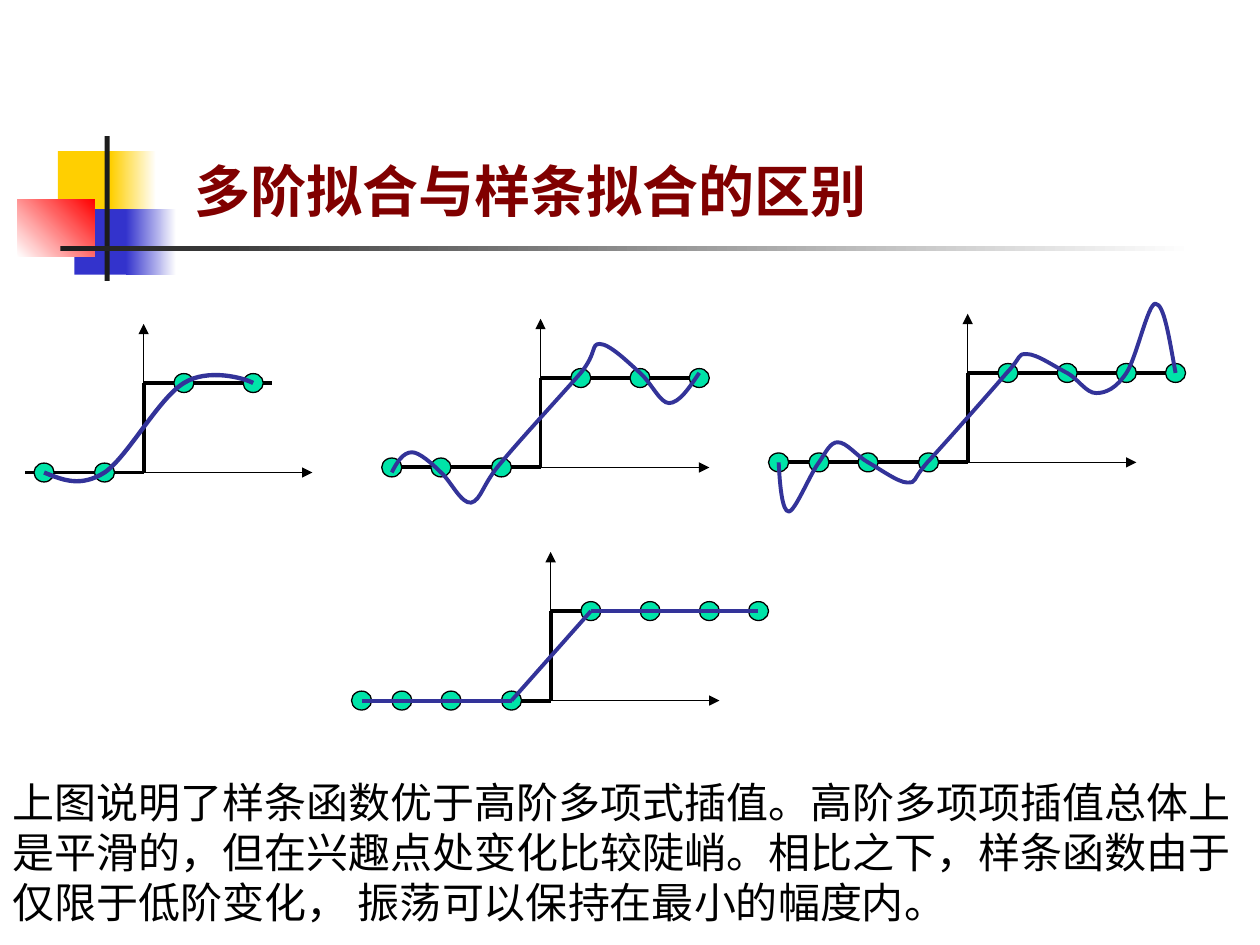
from lxml import etree
from pptx import Presentation
from pptx.dml.color import RGBColor
from pptx.enum.shapes import MSO_CONNECTOR, MSO_SHAPE
from pptx.enum.text import MSO_ANCHOR, MSO_AUTO_SIZE, PP_ALIGN
from pptx.oxml.ns import qn
from pptx.util import Inches, Pt

STRAIGHT = MSO_CONNECTOR.STRAIGHT
RECTANGLE = MSO_SHAPE.RECTANGLE
OVAL = MSO_SHAPE.OVAL
TOP = MSO_ANCHOR.TOP
LEFT = PP_ALIGN.LEFT
NO_AUTOFIT = MSO_AUTO_SIZE.NONE

WHITE = RGBColor(0xFF, 0xFF, 0xFF)
BLACK = RGBColor(0, 0, 0)
YELLOW = RGBColor(0xFF, 0xCF, 0x01)
BLUE = RGBColor(0x33, 0x33, 0xCC)
RED = RGBColor(0xFF, 0, 0)
CHARCOAL = RGBColor(0x1C, 0x1C, 0x1C)
MAROON = RGBColor(0x80, 0, 0)
GREEN = RGBColor(0, 0xE4, 0xA8)
INDIGO = RGBColor(0x33, 0x33, 0x99)

FONT = "Karla"
STEP_HEIGHT = 0.71
NODE_WIDTH, NODE_HEIGHT = 0.16, 0.15
NODE_OFFSETS = (-1.5, -1.18, -0.79, -0.31, 0.32, 0.79, 1.26, 1.65)

TITLE = "多阶拟合与样条拟合的区别"
EXPLANATION = (
    "上图说明了样条函数优于高阶多项式插值。高阶多项项插值总体上",
    "是平滑的，但在兴趣点处变化比较陡峭。相比之下，样条函数由于",
    "仅限于低阶变化， 振荡可以保持在最小的幅度内。",
)

DECORATIONS = (
    ((0.46, 1.2, 0.48, 0.52), (YELLOW,), 0),
    ((0.88, 1.2, 0.36, 0.52), (YELLOW, WHITE), 0),
    ((0.59, 1.66, 0.46, 0.52), (BLUE,), 0),
    ((1, 1.66, 0.4, 0.52), (BLUE, WHITE), 0),
    ((0.14, 1.58, 0.61, 0.46), (WHITE, RED), 45),
    ((0.83, 1.08, 0.04, 1.15), (CHARCOAL,), 0),
    ((0.48, 1.95, 9, 0.04), (CHARCOAL, WHITE), 0),
)

CUBIC_CURVE = (
    (0.35, 3.75), (0.5, 3.81), (0.64, 3.87), (0.83, 3.75),
    (1.01, 3.63), (1.26, 3.16), (1.46, 3.04),
    (1.65, 2.92), (1.94, 3), (2.01, 3.04),
)
QUINTIC_CURVE = (
    (3.11, 3.75), (3.15, 3.67), (3.2, 3.59), (3.27, 3.59),
    (3.33, 3.59), (3.43, 3.68), (3.5, 3.75),
    (3.58, 3.82), (3.66, 4), (3.74, 3.99),
    (3.82, 3.97), (3.83, 3.84), (3.98, 3.67),
    (4.12, 3.5), (4.47, 3.12), (4.61, 2.96),
    (4.74, 2.8), (4.69, 2.73), (4.76, 2.73),
    (4.84, 2.73), (4.99, 2.88), (5.08, 2.96),
    (5.17, 3.04), (5.24, 3.2), (5.31, 3.2),
    (5.39, 3.2), (5.47, 3.08), (5.55, 2.96),
)
SEPTIC_CURVE = (
    (6.18, 3.67), (6.19, 3.87), (6.21, 4.06), (6.26, 4.06),
    (6.31, 4.06), (6.43, 3.76), (6.5, 3.67),
    (6.56, 3.58), (6.59, 3.51), (6.65, 3.51),
    (6.72, 3.51), (6.8, 3.62), (6.89, 3.67),
    (6.98, 3.72), (7.13, 3.83), (7.2, 3.83),
    (7.28, 3.83), (7.23, 3.82), (7.36, 3.67),
    (7.49, 3.53), (7.86, 3.11), (7.99, 2.96),
    (8.12, 2.82), (8.07, 2.81), (8.15, 2.81),
    (8.23, 2.81), (8.37, 2.91), (8.47, 2.96),
    (8.56, 3.01), (8.62, 3.12), (8.7, 3.12),
    (8.78, 3.12), (8.86, 3.08), (8.94, 2.96),
    (9.02, 2.84), (9.11, 2.41), (9.17, 2.41),
    (9.24, 2.41), (9.28, 2.69), (9.33, 2.96),
)
SPLINE = ((2.87, 5.56), (4.06, 5.56), (4.69, 4.85), (6.02, 4.85))


def fill_text(placeholder, box, lines, size, color, bold=False):
    placeholder.left, placeholder.top, placeholder.width, placeholder.height = map(Inches, box)
    frame = placeholder.text_frame
    frame.text = "\n".join(lines)
    frame.auto_size = NO_AUTOFIT
    frame.word_wrap = False
    frame.vertical_anchor = TOP
    frame.margin_right = 0
    for paragraph in frame.paragraphs:
        paragraph.alignment = LEFT
        paragraph.space_before = Pt(0)
        paragraph.font.name = FONT
        paragraph.font.size = Pt(size)
        paragraph.font.bold = bold
        paragraph.font.color.rgb = color
        properties = paragraph._p.get_or_add_pPr()
        properties.set("marL", "0")
        properties.set("indent", "0")
        properties.insert_element_before(
            properties.makeelement(qn("a:buNone")), "a:tabLst", "a:defRPr", "a:extLst")


def add_decoration(slide, box, colors, angle):
    block = slide.shapes.add_shape(RECTANGLE, *map(Inches, box))
    block.shadow.inherit = False
    block.line.fill.background()
    if len(colors) == 1:
        block.fill.solid()
        block.fill.fore_color.rgb = colors[0]
        return
    block.fill.gradient()
    block.fill.gradient_angle = angle
    for stop, color in zip(block.fill.gradient_stops, colors):
        stop.color.rgb = color


def add_line(slide, start, end, color, width, arrow=False):
    line = slide.shapes.add_connector(STRAIGHT, *map(Inches, (*start, *end)))
    line.line.color.rgb = color
    line.line.width = Pt(width)
    properties = line._element.spPr
    if arrow:
        etree.SubElement(properties.find(qn("a:ln")), qn("a:tailEnd"), type="triangle")
    etree.SubElement(properties, qn("a:effectLst"))


def add_polyline(slide, points, color, width):
    for start, end in zip(points, points[1:]):
        add_line(slide, start, end, color, width)


def add_node(slide, x, y):
    box = (x - NODE_WIDTH / 2, y - NODE_HEIGHT / 2, NODE_WIDTH, NODE_HEIGHT)
    node = slide.shapes.add_shape(OVAL, *map(Inches, box))
    node.shadow.inherit = False
    node.fill.solid()
    node.fill.fore_color.rgb = GREEN
    node.line.color.rgb = BLACK
    node.line.width = Pt(0.75)


def add_curve(slide, points, width):
    start, *rest = [(Inches(x), Inches(y)) for x, y in points]
    builder = slide.shapes.build_freeform(*start)
    builder.add_line_segments(rest, close=False)
    curve = builder.convert_to_shape()
    curve.shadow.inherit = False
    curve.fill.background()
    curve.line.color.rgb = INDIGO
    curve.line.width = Pt(width)
    segments = list(curve._element.iter(qn("a:lnTo")))
    for i in range(0, len(segments), 3):
        bezier = etree.Element(qn("a:cubicBezTo"))
        segments[i].addprevious(bezier)
        for segment in segments[i:i + 3]:
            bezier.append(segment[0])
            segment.getparent().remove(segment)


def add_step_plot(slide, origin, left, right, offsets):
    x, y = origin
    upper = y - STEP_HEIGHT
    add_line(slide, origin, (x, y - 1.18), BLACK, 0.75, arrow=True)
    add_line(slide, (x - 0.71, y), (x + 1.34, y), BLACK, 0.75, arrow=True)
    add_polyline(slide, ((x - left, y), origin, (x, upper), (x + right, upper)), BLACK, 2.25)
    for offset in offsets:
        add_node(slide, x + offset, y if offset < 0 else upper)


def main():
    presentation = Presentation()
    presentation.slide_width = Inches(10)
    presentation.slide_height = Inches(7.5)
    slide = presentation.slides.add_slide(presentation.slide_layouts[1])
    for decoration in DECORATIONS:
        add_decoration(slide, *decoration)
    fill_text(slide.shapes.title, (1.44, 1.19, 6.16, 0.64), (TITLE,), 32, MAROON, bold=True)
    fill_text(slide.placeholders[1], (0, 6.11, 9.86, 1.3), EXPLANATION, 24, BLACK)

    add_step_plot(slide, (1.14, 3.75), 0.94, 1.02, (*NODE_OFFSETS[2:5], 0.87))
    add_curve(slide, CUBIC_CURVE, 2.5)
    add_step_plot(slide, (4.29, 3.71), 1.26, 1.34, NODE_OFFSETS[1:-1])
    add_curve(slide, QUINTIC_CURVE, 2.25)
    add_step_plot(slide, (7.68, 3.67), 1.58, 1.73, NODE_OFFSETS)
    add_curve(slide, SEPTIC_CURVE, 2.25)
    add_step_plot(slide, (4.37, 5.56), 1.57, 1.73, NODE_OFFSETS)
    add_polyline(slide, SPLINE, INDIGO, 2.25)
    presentation.save("out.pptx")


if __name__ == "__main__":
    main()
